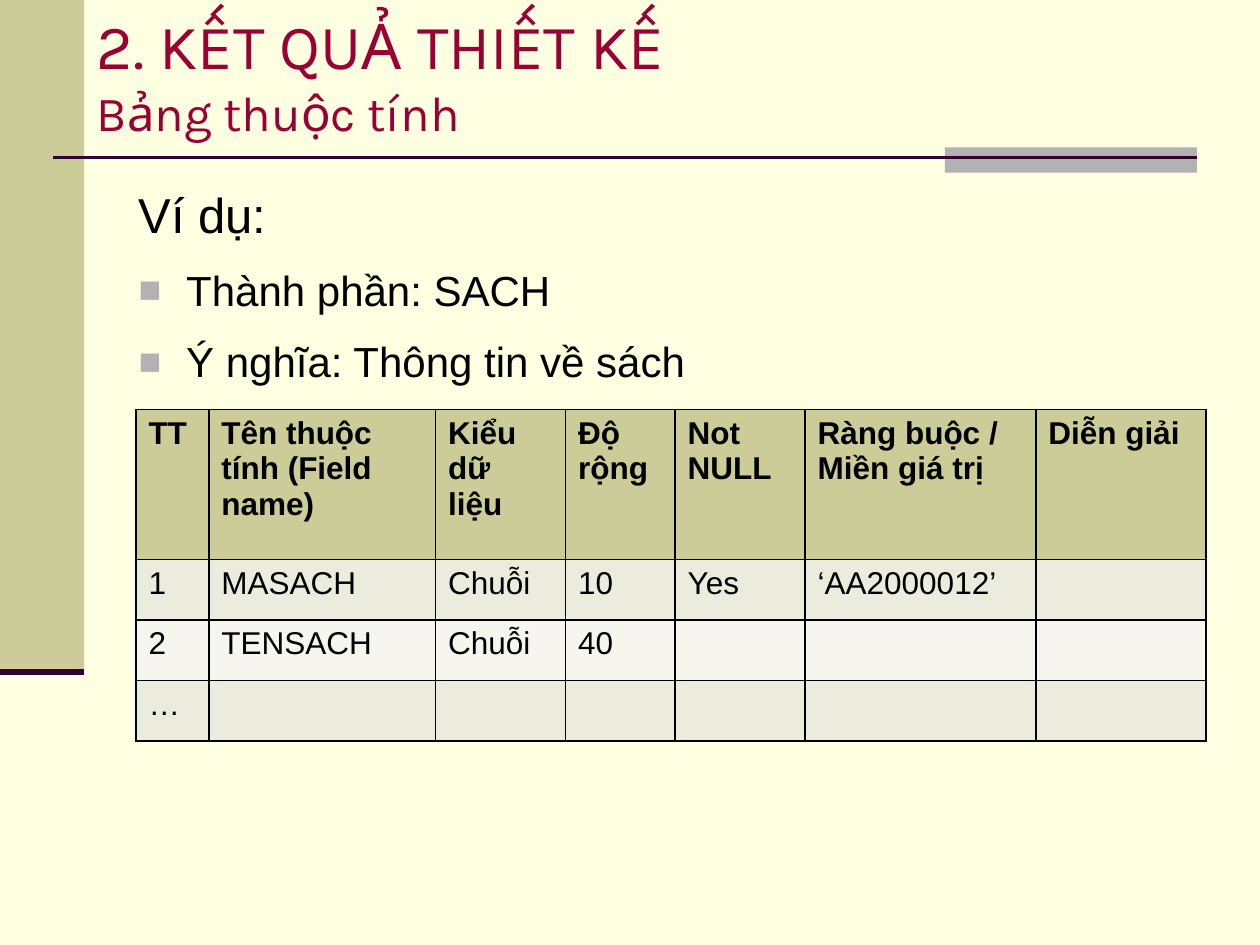
from lxml import etree
from pptx import Presentation
from pptx.dml.color import RGBColor
from pptx.enum import shapes, text
from pptx.oxml import ns
from pptx.util import Cm, Pt

OLIVE, GREY, PLUM = "CCCC99", "B2B2B2", "330033"
BLACK, MAROON, CREAM = "000000", "990033", "FFFFE1"

COLUMNS = [1.47, 4.57, 2.62, 2.21, 2.62, 4.65, 3.43]
ROWS = [3.02, 1.22, 1.22, 1.22]
ROW_FILLS = [OLIVE, "ECECDE", "F6F6EF", "ECECDE"]
CELLS = [
    ["TT", "Tên thuộc tính (Field name)", "Kiểu dữ liệu", "Độ rộng",
     "Not NULL", "Ràng buộc / Miền giá trị", "Diễn giải"],
    ["1", "MASACH", "Chuỗi", "10", "Yes", "‘AA2000012’", ""],
    ["2", "TENSACH", "Chuỗi", "40", "", "", ""],
    ["…", "", "", "", "", "", ""],
]


def rgb(value):
    return RGBColor.from_string(value)


def sub(parent, tag, **attrs):
    return etree.SubElement(parent, ns.qn(tag), attrs)


def set_fill(target, color):
    target.fill.solid()
    target.fill.fore_color.rgb = rgb(color)


def set_font(font, name, size, color, bold=False):
    font.name, font.size, font.bold = name, Pt(size), bold
    font.color.rgb = rgb(color)


def place(sp, left, top, width, height):
    sp.left, sp.top, sp.width, sp.height = map(Cm, (left, top, width, height))


def add_block(s, left, top, width, height, color):
    sp = s.shapes.add_shape(shapes.MSO_SHAPE.RECTANGLE,
                            *map(Cm, (left, top, width, height)))
    sp.shadow.inherit = False
    set_fill(sp, color)
    sp.line.fill.background()


def add_rule(s, left, right, y, weight):
    line = s.shapes.add_connector(shapes.MSO_CONNECTOR.STRAIGHT,
                                  Cm(left), Cm(y), Cm(right), Cm(y))
    line.line.color.rgb = rgb(PLUM)
    line.line.width = Pt(weight)
    sub(line._element.spPr, "a:effectLst")


def fill_title(sp):
    place(sp, 1.7, 0, 23.7, 2.97)
    tf = sp.text_frame
    tf.auto_size = text.MSO_AUTO_SIZE.NONE
    tf.vertical_anchor = text.MSO_ANCHOR.MIDDLE
    p = tf.paragraphs[0]
    p.alignment = text.PP_ALIGN.LEFT
    for i, (words, size) in enumerate([("2. KẾT QUẢ THIẾT KẾ", 36),
                                       ("Bảng thuộc tính", 28)]):
        if i:
            p.add_line_break()
        r = p.add_run()
        r.text = words
        set_font(r.font, "Karla", size, MAROON)


def set_bullet(p, bulleted):
    pPr = p._p.get_or_add_pPr()
    indent = Cm(0.96) if bulleted else 0
    pPr.set("marL", str(indent))
    pPr.set("indent", str(-indent))
    if bulleted:
        sub(sub(pPr, "a:buClr"), "a:srgbClr", val=GREY)
        sub(pPr, "a:buSzPct", val="90000")
        sub(pPr, "a:buFont", typeface="Arial")
        sub(pPr, "a:buChar", char="■")
    else:
        sub(pPr, "a:buNone")


def fill_body(sp):
    place(sp, 2.54, 3.38, 21.59, 13.21)
    tf = sp.text_frame
    tf.auto_size = text.MSO_AUTO_SIZE.NONE
    tf.margin_top = Cm(0.34)
    lines = ["Ví dụ:", "Thành phần: SACH", "Ý nghĩa: Thông tin về sách"]
    for i, words in enumerate(lines):
        p = tf.add_paragraph() if i else tf.paragraphs[0]
        p.text = words
        p.space_before = Pt(6 if i else 0)
        p.space_after = Pt(6)
        set_bullet(p, i > 0)
        set_font(p.font, "Arial", 24 if i else 28, BLACK)


def set_borders(cell):
    tcPr = cell._tc.get_or_add_tcPr()
    for side in ("a:lnL", "a:lnR", "a:lnT", "a:lnB"):
        ln = sub(tcPr, side, w=str(Pt(1)))
        sub(sub(ln, "a:solidFill"), "a:srgbClr", val=BLACK)


def add_attribute_table(s):
    table = s.shapes.add_table(len(ROWS), len(COLUMNS), Cm(2.74), Cm(8.26),
                               Cm(sum(COLUMNS)), Cm(sum(ROWS))).table
    for col, width in zip(table.columns, COLUMNS):
        col.width = Cm(width)
    for i, (row, height) in enumerate(zip(table.rows, ROWS)):
        row.height = Cm(height)
        for cell, words in zip(row.cells, CELLS[i]):
            set_borders(cell)
            set_fill(cell, ROW_FILLS[i])
            p = cell.text_frame.paragraphs[0]
            if words:
                p.text = words
            set_font(p.font, "Arial", 18, BLACK, bold=i == 0)


def main():
    prs = Presentation()
    prs.slide_width, prs.slide_height = Cm(25.4), Cm(19.05)
    s = prs.slides.add_slide(prs.slide_layouts[1])
    set_fill(s.background, CREAM)

    # Side band and heading rule
    add_block(s, 0, 0, 1.7, 13.54, OLIVE)
    add_block(s, 19.05, 2.97, 5.08, 0.51, GREY)
    add_rule(s, 1.07, 24.13, 3.18, 1.5)
    add_rule(s, 0, 1.7, 13.54, 3.5)

    # Content
    fill_title(s.shapes.title)
    fill_body(s.placeholders[1])
    add_attribute_table(s)
    prs.save("out.pptx")


if __name__ == "__main__":
    main()
